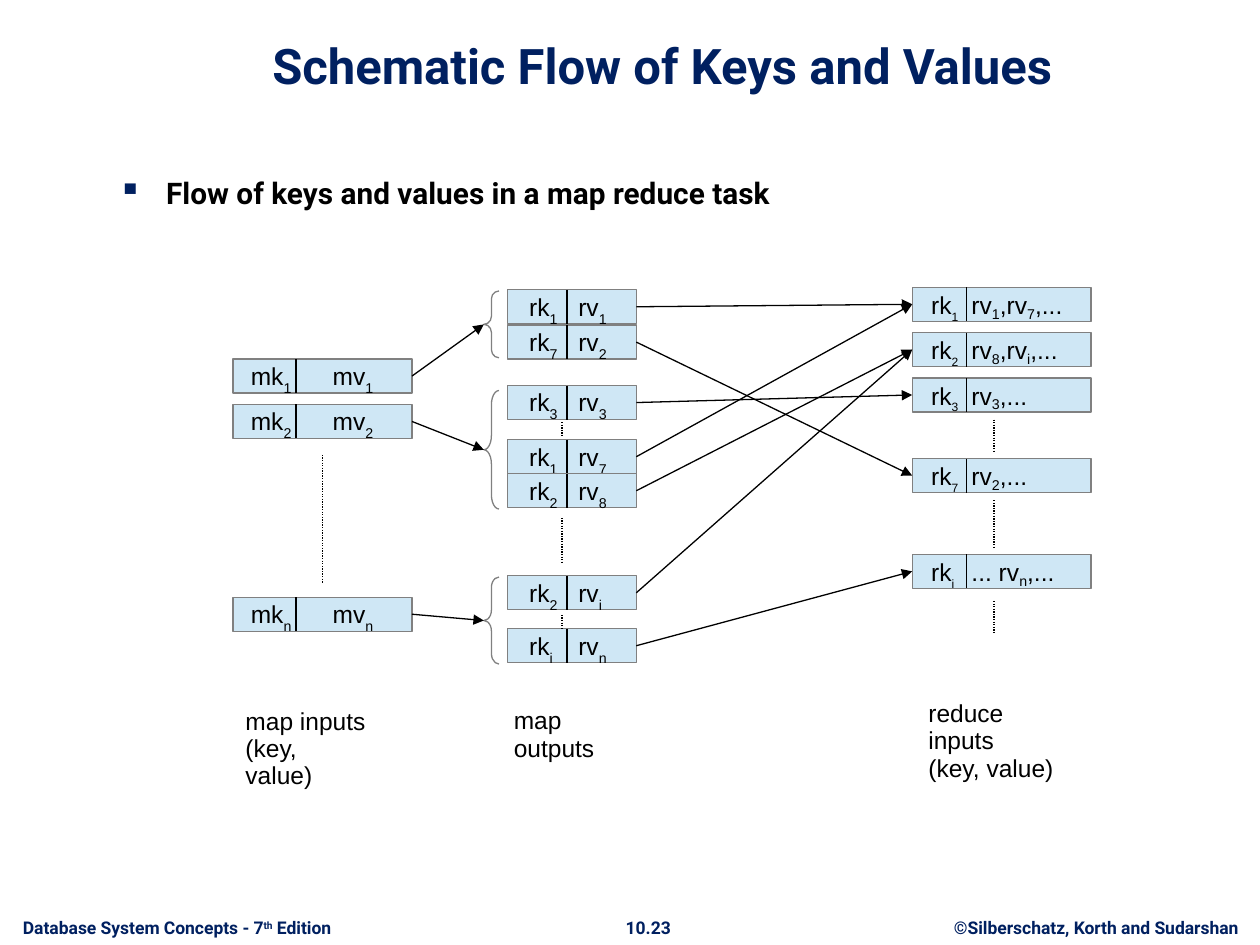
from itertools import zip_longest

from lxml import etree
from pptx import Presentation
from pptx.dml.color import RGBColor
from pptx.enum.dml import MSO_LINE
from pptx.enum.shapes import MSO_CONNECTOR, MSO_SHAPE
from pptx.enum.text import MSO_ANCHOR, PP_ALIGN
from pptx.oxml.ns import qn
from pptx.util import Inches, Pt

NAVY = RGBColor(0x00, 0x20, 0x60)
BLACK = RGBColor(0x00, 0x00, 0x00)
GRAY = RGBColor(0x80, 0x80, 0x80)
PALE_BLUE = RGBColor(0xCF, 0xE7, 0xF5)
ROW_HEIGHT = 0.27
TOP, LEFT, BOTTOM, RIGHT = range(4)

# Records are (top, text); in the text, every second piece between bars is raised or lowered.
MAP_INPUTS = [(2.85, "mk|1|\tmv|1"), (3.21, "mk|2|\tmv|2"), (4.74, "mk|n|\tmv|n")]
MAP_OUTPUTS = [
    (2.30, "rk|1|\trv|1"), (2.58, "rk|7|\trv|2"),
    (3.06, "rk|3|\trv|3"), (3.49, "rk|1|\trv|7"), (3.76, "rk|2|\trv|8"),
    (4.57, "rk|2|\trv|i"), (4.99, "rk|i|\trv|n"),
]
REDUCE_INPUTS = [
    (2.28, "rk|1|\trv|1|,rv|7|,..."), (2.64, "rk|2|\trv|8|,rv|i|,..."),
    (3.00, "rk|3|\trv|3|,..."), (3.64, "rk|7|\trv|2|,..."),
    (4.40, "rk|i|\t... rv|n|,..."),
]
OUTPUT_GROUPS = [(2.31, 0.53), (3.10, 0.94), (4.58, 0.69)]  # top, height of brace
SHUFFLE = [(0, 0), (3, 0), (1, 3), (2, 2), (4, 1), (5, 1), (6, 4)]  # output row, reduce row
ELLIPSES = [
    (2.56, 3.61, 4.63),
    (4.46, 3.35, 3.47), (4.46, 4.11, 4.47), (4.46, 4.88, 4.99),
    (7.89, 3.33, 3.59), (7.89, 3.97, 4.34), (7.89, 4.77, 5.03),
]


def write(shape, text, size=14, font="Arial", color=BLACK, bold=False,
          align=PP_ALIGN.LEFT, anchor=MSO_ANCHOR.TOP, wrap=False,
          insets=(0.1, 0.05, 0.1, 0.05), line_spacing=None,
          shifts=(-33,), shifted_size=None):
    """Fill a shape with one paragraph per line; shifts are baseline percents, the last repeats."""
    frame = shape.text_frame
    frame.word_wrap = wrap
    frame.vertical_anchor = anchor
    frame.margin_left, frame.margin_top, frame.margin_right, frame.margin_bottom = map(Inches, insets)
    for number, line in enumerate(text.split("\n")):
        paragraph = frame.add_paragraph() if number else frame.paragraphs[0]
        paragraph.alignment = align
        paragraph.line_spacing = line_spacing
        for index, piece in enumerate(line.split("|")):
            if not piece:
                continue
            run = paragraph.add_run()
            run.text = piece
            run.font.size = Pt(size)
            run.font.name = font
            run.font.bold = bold
            run.font.color.rgb = color
            if index % 2:
                shift = shifts[min(index // 2, len(shifts) - 1)]
                run.font._element.set("baseline", str(shift * 1000))
                if index == 1 and shifted_size:
                    run.font.size = Pt(shifted_size)
    return frame


def add_text(slide, box, text, **style):
    return write(slide.shapes.add_textbox(*map(Inches, box)), text, **style)


def add_line(slide, start=(0, 0), end=(0, 0), joins=None, arrow=False, dotted=False):
    """Draw a line between two points, or between two (shape, side) joins."""
    line = slide.shapes.add_connector(MSO_CONNECTOR.STRAIGHT, *map(Inches, (*start, *end)))
    if joins:
        source, target = joins
        line.begin_connect(*source)
        line.end_connect(*target)
    line.line.color.rgb = BLACK
    line.line.width = Pt(0.75)
    if dotted:
        line.line.dash_style = MSO_LINE.ROUND_DOT
    if arrow:
        etree.SubElement(line.line._get_or_add_ln(), qn("a:tailEnd"), type="triangle")
    etree.SubElement(line._element.spPr, qn("a:effectLst"))


def add_outlined(slide, preset, box):
    shape = slide.shapes.add_shape(preset, *map(Inches, box))
    shape.shadow.inherit = False
    shape.line.color.rgb = GRAY
    shape.line.width = Pt(0.75)
    return shape


def add_record(slide, box, text, divider, key_at, value_at, **style):
    """Place a key and value box; the three offsets count from its left edge."""
    left, top, _, height = box
    record = add_outlined(slide, MSO_SHAPE.RECTANGLE, box)
    record.fill.solid()
    record.fill.fore_color.rgb = PALE_BLUE
    frame = write(record, text, anchor=MSO_ANCHOR.MIDDLE, wrap=True, line_spacing=0.93,
                  insets=(key_at, 0.07, 0, 0.05), **style)
    stops = etree.SubElement(frame.paragraphs[0]._p.get_or_add_pPr(), qn("a:tabLst"))
    etree.SubElement(stops, qn("a:tab"), pos=str(Inches(value_at - key_at)), algn="l")
    add_line(slide, (left + divider, top), (left + divider, top + height))
    return record


def add_records(slide, left, width, rows, **format_):
    return [add_record(slide, (left, top, width, ROW_HEIGHT), text, **format_)
            for top, text in rows]


def add_brace(slide, box):
    brace = add_outlined(slide, MSO_SHAPE.LEFT_BRACE, box)
    brace.fill.background()
    brace.adjustments[0] = box[3]
    brace.adjustments[1] = 0.5
    return brace


def add_flow(slide):
    inputs = add_records(slide, 1.85, 1.42, MAP_INPUTS, divider=0.5, key_at=0.14, value_at=0.79)
    outputs = add_records(slide, 4.03, 1.02, MAP_OUTPUTS, divider=0.47, key_at=0.17, value_at=0.56)
    reduced = add_records(slide, 7.24, 1.42, REDUCE_INPUTS, divider=0.43, key_at=0.15,
                          value_at=0.47, shifts=(-33, -20), shifted_size=12)
    braces = [add_brace(slide, (3.84, top, 0.12, height)) for top, height in OUTPUT_GROUPS]

    for source, brace in zip(inputs, braces):
        add_line(slide, joins=((source, RIGHT), (brace, LEFT)), arrow=True)
    for source, target in SHUFFLE:
        add_line(slide, joins=((outputs[source], RIGHT), (reduced[target], LEFT)), arrow=True)
    for x, top, bottom in ELLIPSES:
        add_line(slide, (x, top), (x, bottom), dotted=True)

    for box, caption in [
        ((1.85, 5.55, 1.16, 0.35), "map inputs\n(key, value)"),
        ((3.98, 5.55, 1.24, 0.2), "map outputs"),
        ((7.27, 5.49, 1.34, 0.35), "reduce inputs\n(key, value)"),
    ]:
        add_text(slide, box, caption, insets=(0.1, 0.07, 0.1, 0.05), line_spacing=0.93)


def add_heading(slide, box):
    add_text(slide, box, "Schematic Flow of Keys and Values", size=28, font="Roboto",
             color=NAVY, bold=True, align=PP_ALIGN.CENTER, anchor=MSO_ANCHOR.BOTTOM, wrap=True)


def add_bullet(slide, box):
    frame = add_text(slide, box, "Flow of keys and values in a map reduce task",
                     size=17, font="Roboto", bold=True, wrap=True)
    properties = frame.paragraphs[0]._p.get_or_add_pPr()
    properties.set("marL", str(Inches(0.38)))
    properties.set("indent", str(-Inches(0.38)))
    bullet_color = etree.SubElement(properties, qn("a:buClr"))
    etree.SubElement(bullet_color, qn("a:srgbClr"), val=str(NAVY))
    etree.SubElement(properties, qn("a:buSzPct"), val="110000")
    etree.SubElement(properties, qn("a:buChar"), char="▪")


def add_footer(slide, top, height):
    for left, width, text in [
        (0, 2.81, "Database System Concepts - 7|th| Edition"),
        (4.86, 0.57, "10.23"),
        (7.4, 2.6, "©Silberschatz, Korth and Sudarshan"),
    ]:
        add_text(slide, (left, top, width, height), text, size=10, font="Roboto", color=NAVY,
                 bold=True, align=PP_ALIGN.CENTER, shifts=(30,))


def main():
    deck = Presentation()
    deck.slide_width, deck.slide_height = Inches(10), Inches(7.5)
    slide = deck.slides.add_slide(deck.slide_layouts[6])
    add_footer(slide, 7.23, 0.27)
    add_heading(slide, (0.84, 0.13, 8.83, 0.67))
    add_bullet(slide, (0.84, 1.34, 8.04, 0.62))
    add_flow(slide)
    deck.save("out.pptx")


if __name__ == "__main__":
    main()
